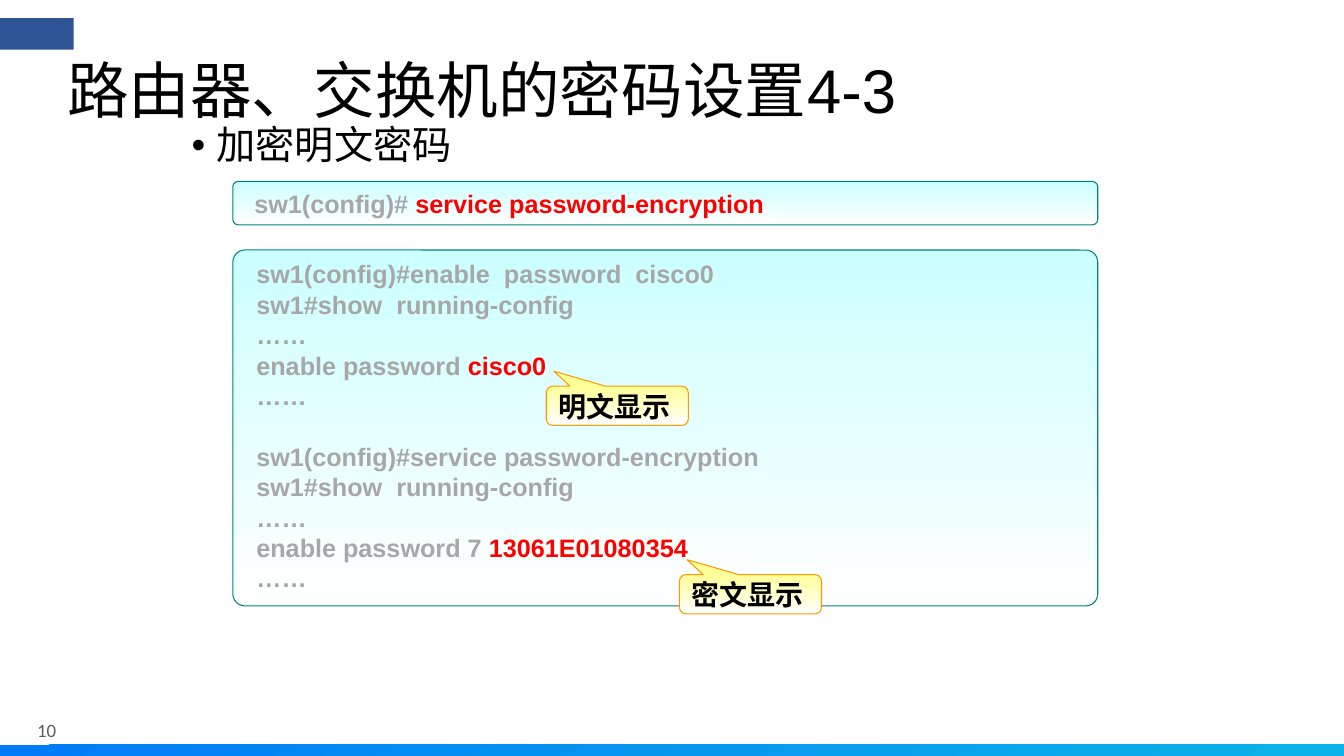
from dataclasses import dataclass

from lxml.etree import SubElement
from pptx import Presentation
from pptx.dml.color import RGBColor
from pptx.enum.shapes import MSO_SHAPE
from pptx.enum.text import MSO_ANCHOR, MSO_AUTO_SIZE, PP_ALIGN
from pptx.oxml.ns import qn
from pptx.util import Pt


@dataclass(frozen=True)
class Theme:
    black: str = "000000"
    grey: str = "A7A7A7"
    red: str = "FF0000"
    dim: str = "5A5A5A"
    navy: str = "2F5597"
    teal: str = "008080"
    gold: str = "FF9900"
    band: tuple = ("007BF7", "0BB3E8")
    aqua: tuple = ("CCFFFF", "FFFFFF")
    lemon: tuple = ("FFFF99", "FFFFFF")
    latin: str = "Arial"
    plain: str = "Calibri"
    asian: str = "Noto Sans CJK SC"
    head: float = 44
    list: float = 28
    note: float = 20
    code: float = 18
    page: float = 13.4


T = Theme()
LEAD = 21.7
LEFT, WIDE = 166.3, 617.8
DOTS = "……"
PLAIN = [
    ["sw1(config)#enable  password  cisco0"],
    ["sw1#show  running-config"],
    [DOTS],
    ["enable password ", "cisco0"],
    [DOTS],
]
CRYPT = [
    ["sw1(config)#service password-encryption"],
    ["sw1#show  running-config"],
    [DOTS],
    ["enable password 7 ", "13061E01080354"],
    [DOTS],
]


def place(shape, left, top, width, height):
    shape.left, shape.top = Pt(left), Pt(top)
    shape.width, shape.height = Pt(width), Pt(height)


def write(par, text, *, size, color=T.black, font=T.latin, bold=False,
          asian=None, lead=None, before=0, margin=0, indent=0, bullet=None):
    props = par._p.get_or_add_pPr()
    props.set("marL", str(Pt(margin)))
    props.set("indent", str(Pt(indent)))
    if bullet:
        SubElement(props, qn("a:buChar"), char=bullet)
    par.alignment = PP_ALIGN.LEFT
    par.space_before = Pt(before)
    if lead:
        par.line_spacing = lead
    run = par.add_run()
    run.text = text
    run.font.size = Pt(size)
    run.font.name = font
    run.font.bold = bold
    run.font.color.rgb = RGBColor.from_string(color)
    if asian:
        SubElement(run._r.get_or_add_rPr(), qn("a:ea"), typeface=asian)


def frame(shape, anchor=MSO_ANCHOR.TOP, flush=False):
    body = shape.text_frame
    body.word_wrap = True
    body.auto_size = MSO_AUTO_SIZE.NONE
    body.vertical_anchor = anchor
    if flush:
        body.margin_left = body.margin_right = 0
        body.margin_top = body.margin_bottom = 0
    return body


def block(slide, kind, spot, fill, line=None, angle=270, bends=()):
    shape = slide.shapes.add_shape(kind, *map(Pt, spot))
    shape.shadow.inherit = False
    for index, bend in enumerate(bends):
        shape.adjustments[index] = bend
    if isinstance(fill, tuple):
        shape.fill.gradient()
        shape.fill.gradient_angle = angle
        for stop, color in zip(shape.fill.gradient_stops, fill):
            stop.color.rgb = RGBColor.from_string(color)
    else:
        shape.fill.solid()
        shape.fill.fore_color.rgb = RGBColor.from_string(fill)
    if line:
        shape.line.color.rgb = RGBColor.from_string(line)
        shape.line.width = Pt(0.75)
    else:
        shape.line.fill.background()
    return shape


def panel(slide, top, height, bend, groups):
    shape = block(slide, MSO_SHAPE.ROUNDED_RECTANGLE,
                  (LEFT, top, WIDE, height), T.aqua, T.teal, bends=[bend])
    body = frame(shape)
    par = body.paragraphs[0]
    for group in groups:
        for row, parts in enumerate(group):
            first = group is groups[0] and row == 0
            if not first:
                par = body.add_paragraph()
            gap = LEAD if row == 0 and not first else 0
            for part, color in zip(parts, (T.grey, T.red)):
                write(par, part, size=T.code, color=color, bold=True,
                      lead=Pt(LEAD), margin=7.2, before=gap)


def callout(slide, left, top, text):
    shape = block(slide, MSO_SHAPE.ROUNDED_RECTANGULAR_CALLOUT,
                  (left, top, 101.5, 28.1), T.lemon, T.gold,
                  bends=[-0.446, -0.879, 0.167])
    body = frame(shape, MSO_ANCHOR.MIDDLE)
    write(body.paragraphs[0], text, size=T.note, font=T.asian,
          asian=T.asian, bold=True)


def number(slide, text):
    box = slide.shapes.add_textbox(Pt(26.6), Pt(513.4), Pt(53.3), Pt(15.8))
    body = frame(box, MSO_ANCHOR.MIDDLE, flush=True)
    write(body.paragraphs[0], text, size=T.page, color=T.dim, font=T.plain)


def main():
    deck = Presentation()
    deck.slide_width, deck.slide_height = Pt(960), Pt(540)
    slide = deck.slides.add_slide(deck.slide_layouts[1])

    title, points = slide.placeholders
    place(title, 48, 21.6, 864, 90)
    write(frame(title, MSO_ANCHOR.MIDDLE, flush=True).paragraphs[0],
          "路由器、交换机的密码设置4-3", size=T.head, asian=T.asian, lead=0.9)
    place(points, 136.8, 90, 669.6, 404.6)
    write(frame(points, flush=True).paragraphs[0], "加密明文密码",
          size=T.list, asian=T.asian, lead=0.9, margin=18, indent=-18,
          bullet="•")

    block(slide, MSO_SHAPE.RECTANGLE, (0, 532, 960, 8), T.band, angle=300)
    block(slide, MSO_SHAPE.RECTANGLE, (0, 13, 52.6, 22.5), T.navy)
    number(slide, "10")

    panel(slide, 129.6, 31, 0.124,
          [[["sw1(config)# ", "service password-encryption"]]])
    panel(slide, 178.6, 254.2, 0.034, [PLAIN, CRYPT])
    callout(slide, 390.2, 275.8, "明文显示")
    callout(slide, 485.3, 410.4, "密文显示")
    deck.save("out.pptx")


if __name__ == "__main__":
    main()
